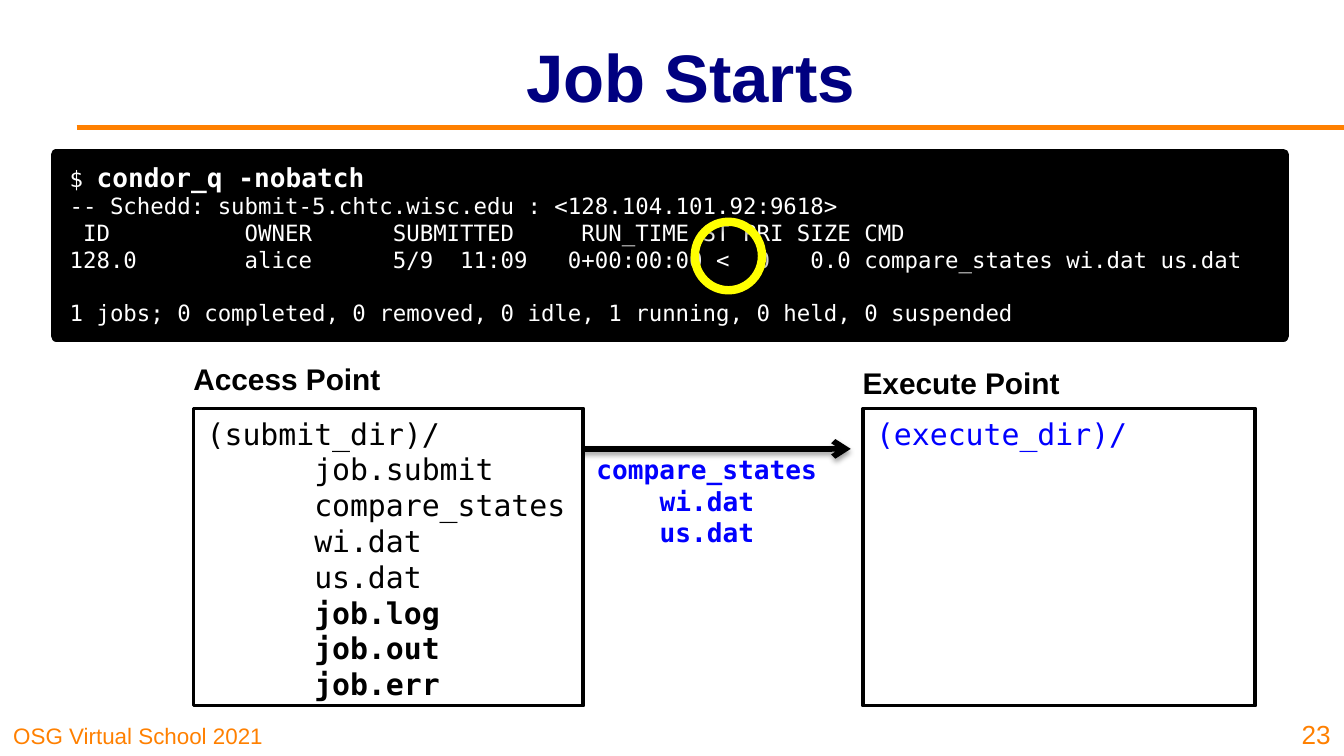
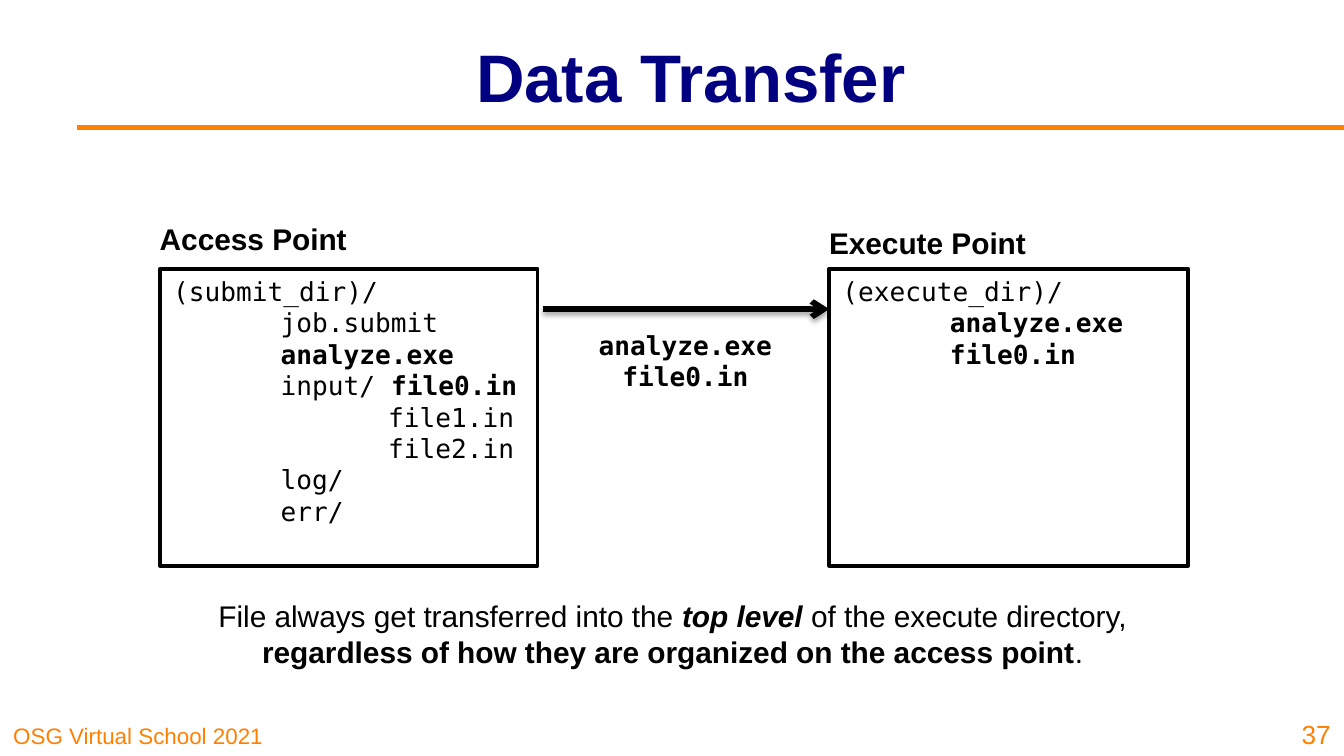
from lxml import etree
from pptx import Presentation
from pptx.dml.color import RGBColor
from pptx.enum.shapes import MSO_CONNECTOR, MSO_SHAPE
from pptx.enum.text import MSO_ANCHOR, PP_ALIGN
from pptx.oxml.ns import qn
from pptx.util import Inches, Pt

LINE = MSO_CONNECTOR.STRAIGHT
RECT, OVAL = MSO_SHAPE.RECTANGLE, MSO_SHAPE.OVAL
TOP, MIDDLE, BOTTOM = MSO_ANCHOR.TOP, MSO_ANCHOR.MIDDLE, MSO_ANCHOR.BOTTOM
LEFT, CENTER, RIGHT = PP_ALIGN.LEFT, PP_ALIGN.CENTER, PP_ALIGN.RIGHT

COLORS = {"navy": "000080", "orange": "FF8000", "blue": "0100FE",
          "black": "000000", "white": "FFFFFF", "yellow": "FFFF00"}
SANS, MONO = "Arial", "DejaVu Sans Mono"
TAB = 0.8
EXECUTE_OFFSET = 4.98
BOX_HEIGHT = 2.21


def rgb(name):
    """Return the named colour."""
    return RGBColor.from_string(COLORS[name])


def write(tf, lines, size, color="black", font=SANS, align=LEFT, anchor=TOP):
    """Fill a text frame with lines of (indent level, (text, style), ...)."""
    tf.word_wrap = True
    tf.vertical_anchor = anchor
    for i, (level, *runs) in enumerate(lines):
        p = tf.add_paragraph() if i else tf.paragraphs[0]
        p.alignment = align
        if level:
            p._p.get_or_add_pPr().set("marL", str(Inches(TAB * level)))
        for text, style in runs:
            r = p.add_run()
            r.text = text
            r.font.name, r.font.size = font, Pt(size)
            r.font.color.rgb = rgb(color)
            r.font.bold, r.font.italic = "b" in style, "i" in style


def add_text(s, box, lines, size, **style):
    """Add a text box at box (left, top, width, height)."""
    sp = s.shapes.add_textbox(*map(Inches, box))
    write(sp.text_frame, lines, size, **style)


def add_box(s, box, fill, line, width, kind=RECT):
    """Add a preset shape, without fill if fill is None."""
    sp = s.shapes.add_shape(kind, *map(Inches, box))
    sp.shadow.inherit = False
    if fill:
        sp.fill.solid()
        sp.fill.fore_color.rgb = rgb(fill)
    else:
        sp.fill.background()
    sp.line.color.rgb = rgb(line)
    sp.line.width = Pt(width)
    return sp


def add_line(s, x1, x2, y, color):
    """Add a horizontal 3 pt line without a shadow."""
    line = s.shapes.add_connector(LINE, *map(Inches, (x1, y, x2, y)))
    line.line.color.rgb = rgb(color)
    line.line.width = Pt(3)
    etree.SubElement(line._element.spPr, qn("a:effectLst"))
    return line


def drop_shadow(sp, alpha, distance):
    """Give a shape a soft shadow falling straight down."""
    effects = sp._element.spPr.find(qn("a:effectLst"))
    shadow = etree.SubElement(effects, qn("a:outerShdw"), blurRad=str(Pt(3.1)),
                              dist=str(Pt(distance)), dir="5400000", rotWithShape="0")
    color = etree.SubElement(shadow, qn("a:srgbClr"), val=COLORS["black"])
    etree.SubElement(color, qn("a:alpha"), val=str(alpha * 1000))


def add_frame(prs, title, number):
    """Add a slide with its title, rule, footer and page number."""
    s = prs.slides.add_slide(prs.slide_layouts[6])
    add_text(s, (0, 5.31, 2.48, 0.31), [(0, ("OSG Virtual School 2021", ""))], 12,
             color="orange", anchor=BOTTOM)
    add_line(s, 0.57, 10, 0.95, "orange")
    add_text(s, (1.34, 0.09, 7.6, 0.94), [(0, (title, "b"))], 36,
             color="navy", align=CENTER, anchor=MIDDLE)
    add_text(s, (9.54, 5.25, 0.46, 0.38), [(0, (str(number), ""))], 14,
             color="orange", align=RIGHT, anchor=BOTTOM)
    return s


def add_directory(s, box, name, label_rise, lines, size, color="black"):
    """Add a labelled directory listing in the given box."""
    left, top = box[:2]
    sp = add_box(s, box, "white", "black", 2)
    write(sp.text_frame, lines, size, color, MONO)
    add_text(s, (left - 0.1, top - label_rise, 1.68, 0.43), [(0, (name, "b"))], 16,
             anchor=MIDDLE)


def add_transfer(s, left, top, files, color):
    """Add the arrow between the directories with the files it carries."""
    sp = add_box(s, (left + 0.07, top + 0.15, 1.98, 1.07), "white", "white", 2)
    write(sp.text_frame, [(0, (name, "b")) for name in files], 14, color, MONO,
          CENTER, MIDDLE)
    arrow = add_line(s, left, left + 2.13, top + 0.3, "black")
    etree.SubElement(arrow.line._get_or_add_ln(), qn("a:tailEnd"), type="arrow")
    drop_shadow(arrow, 38, 1.6)


def add_console(s, left, top):
    """Add the terminal output with its job status circled."""
    sp = add_box(s, (left, top, 9.13, 1.35), "black", "black", 6)
    output = [
        "-- Schedd: submit-5.chtc.wisc.edu : <128.104.101.92:9618>",
        " ID          OWNER      SUBMITTED     RUN_TIME ST PRI SIZE CMD",
        "128.0        alice      5/9  11:09   0+00:00:00 <  0   0.0 compare_states wi.dat us.dat",
        "1 jobs; 0 completed, 0 removed, 0 idle, 1 running, 0 held, 0 suspended",
    ]
    lines = [(0, ("$ ", ""), ("condor_q -nobatch", "b"))]
    lines += [(0, (text, "")) for text in output]
    tf = sp.text_frame
    write(tf, lines, 12, "white", MONO)
    tf.paragraphs[0].runs[1].font.size = Pt(14)
    tf.paragraphs[-1].space_before = Pt(14)
    ring = add_box(s, (left + 4.75, top + 0.5, 0.5, 0.51), None, "yellow", 4.5, OVAL)
    drop_shadow(ring, 35, 1.8)


def job_starts(prs):
    """Build the slide on the start of a job."""
    s = add_frame(prs, "Job Starts", 23)
    left, top = 1.44, 3.04
    inputs = ["compare_states", "wi.dat", "us.dat"]
    submit = [(0, ("(submit_dir)/", ""))]
    submit += [(1, (name, "")) for name in ["job.submit"] + inputs]
    submit += [(1, (name, "b")) for name in ("job.log", "job.out", "job.err")]
    add_transfer(s, left + 2.76, top, inputs, "blue")
    add_console(s, 0.42, 1.15)
    add_directory(s, (left, top, 2.9, BOX_HEIGHT), "Access Point", 0.44, submit, 16)
    add_directory(s, (left + EXECUTE_OFFSET, top, 2.92, BOX_HEIGHT), "Execute Point",
                  0.41, [(0, ("(execute_dir)/", ""))], 16, "blue")


def data_transfer(prs):
    """Build the slide on where transferred files go."""
    s = add_frame(prs, "Data Transfer", 37)
    left, top = 1.19, 2
    moved = ["analyze.exe", "file0.in"]
    submit = [
        (0, ("(submit_dir)/", "")),
        (1, ("job.submit", "")),
        (1, ("analyze.exe", "b")),
        (1, ("input/ ", ""), ("file0.in", "b")),
        (2, ("file1.in", "")),
        (2, ("file2.in", "")),
        (1, ("log/", "")),
        (1, ("err/", "")),
    ]
    execute = [(0, ("(execute_dir)/", ""))] + [(1, (name, "b")) for name in moved]
    add_directory(s, (left, top, 2.81, BOX_HEIGHT), "Access Point", 0.44, submit, 14)
    add_directory(s, (left + EXECUTE_OFFSET, top, 2.67, BOX_HEIGHT), "Execute Point",
                  0.41, execute, 14)
    add_transfer(s, left + 2.85, top, moved, "black")
    message = (0, ("File always get transferred into the ", ""), ("top level ", "bi"),
               ("of the execute directory, ", ""),
               ("regardless of how they are organized on the access point", "b"), (".", ""))
    add_text(s, (1.17, 4.4, 7.67, 0.64), [message], 16, align=CENTER)


def main():
    """Build and save the presentation."""
    prs = Presentation()
    prs.slide_width = Inches(10)
    prs.slide_height = Inches(10 * 9 / 16)
    job_starts(prs)
    data_transfer(prs)
    prs.save("out.pptx")


if __name__ == "__main__":
    main()
